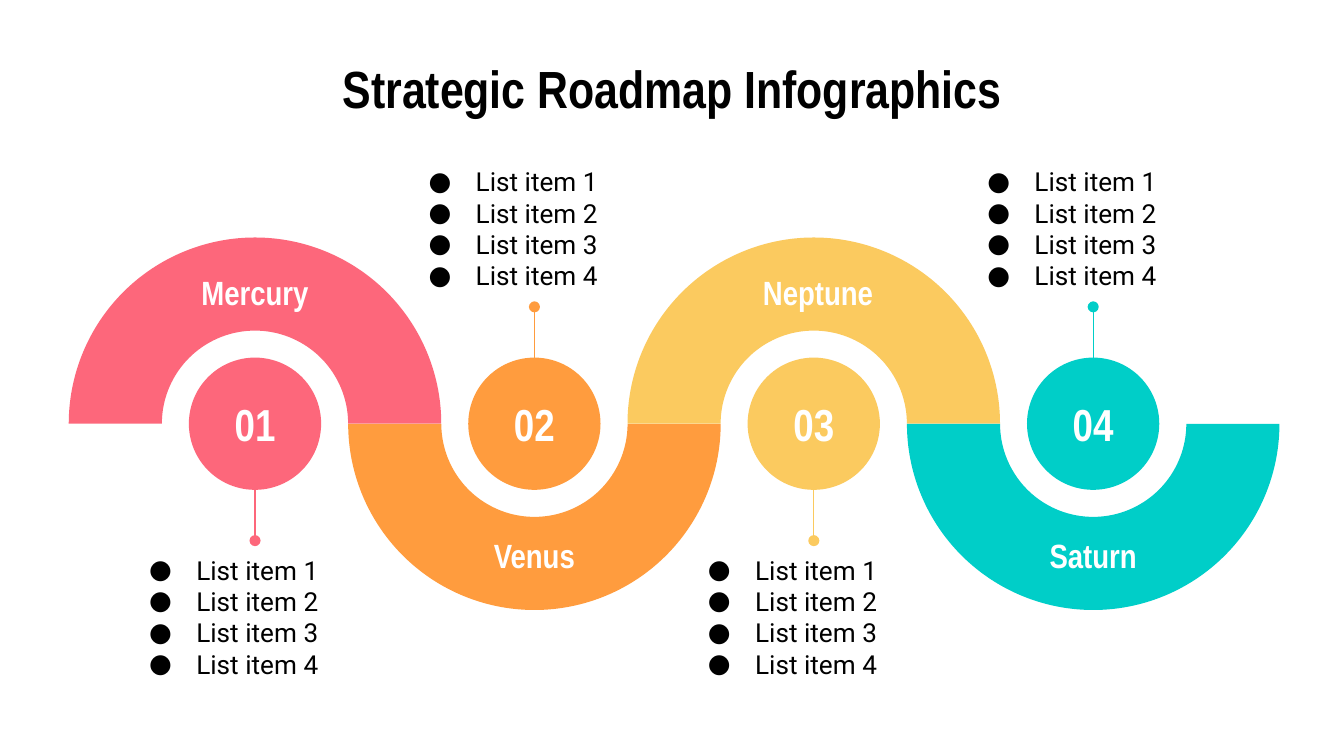
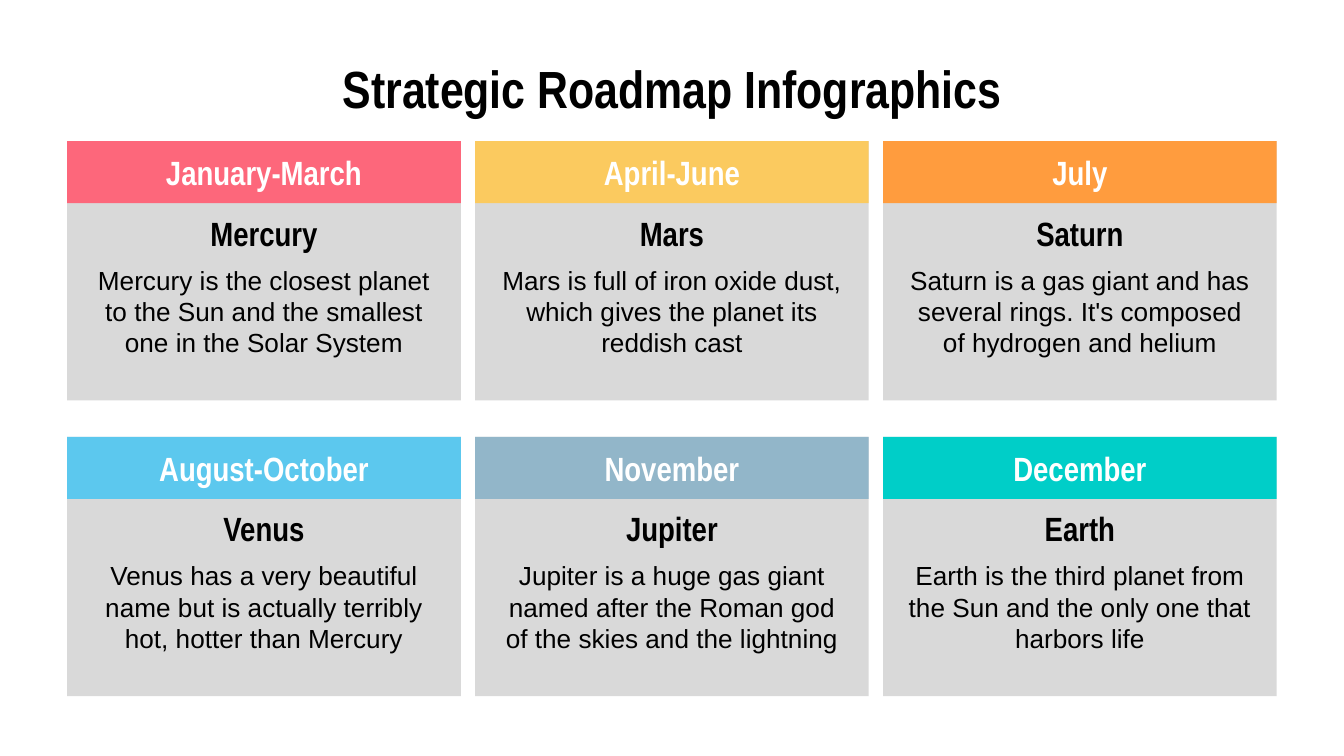
from dataclasses import dataclass
from typing import Any

from lxml import etree
from pptx import Presentation
from pptx import util as u
from pptx.dml.color import RGBColor
from pptx.enum import shapes, text
from pptx.oxml.ns import qn

BLACK, WHITE, GRAY = "000000", "FFFFFF", "D9D9D9"
RED, ORANGE, YELLOW = "FD677B", "FF9C3E", "FBCA5F"
TEAL, BLUE, STEEL = "00CEC8", "5CC8EE", "92B6C9"

TITLE = "Strategic Roadmap Infographics"
HEADING_FONT, BODY_FONT, LIST_FONT = "Arial Narrow", "Arial", "Roboto"
TITLE_ONLY, COMPARISON = 5, 4

FRAME_FORMAT = {
    "margin_left": u.Cm(0.25),
    "margin_right": u.Cm(0.25),
    "margin_top": u.Cm(0.25),
    "margin_bottom": u.Cm(0.25),
    "word_wrap": True,
    "auto_size": text.MSO_AUTO_SIZE.NONE,
}

FIRST_CENTER, CENTER_PITCH, CENTER_LINE = 4.82, 5.28, 8.01
ARC_SIZE, CIRCLE_SIZE = 7.04, 2.5
LABEL_WIDTH, LABEL_HEIGHT, LABEL_OFFSET = 3.53, 0.97, 2.48
LIST_WIDTH, LIST_HEIGHT, LIST_OFFSET = 4.5, 2.92, 2.21
LIST_INDENT = u.Cm(0.89)

GRID_LEFT, GRID_TOP = 1.27, 2.67
COLUMNS, COLUMN_PITCH, ROW_PITCH = 3, 7.71, 5.59
CARD_WIDTH, CARD_HEIGHT, HEADER_HEIGHT = 7.44, 4.9, 1.17


@dataclass(frozen=True)
class Box:
    left: float
    top: float
    width: float
    height: float

    def lengths(self) -> tuple[u.Cm, u.Cm, u.Cm, u.Cm]:
        return u.Cm(self.left), u.Cm(self.top), u.Cm(self.width), u.Cm(self.height)


@dataclass(frozen=True)
class Style:
    size: int
    font: str
    color: str = BLACK
    bold: bool = False
    align: text.PP_ALIGN = text.PP_ALIGN.CENTER
    anchor: text.MSO_ANCHOR = text.MSO_ANCHOR.MIDDLE


@dataclass(frozen=True)
class Milestone:
    label: str
    color: str
    label_shift: float = 0


@dataclass(frozen=True)
class Card:
    period: str
    color: str
    planet: str
    description: str


TITLE_STYLE = Style(28, HEADING_FONT, bold=True)
NUMBER_STYLE = Style(24, HEADING_FONT, WHITE, True)
LABEL_STYLE = Style(18, HEADING_FONT, WHITE, True)
PLANET_STYLE = Style(18, HEADING_FONT, bold=True)
DESCRIPTION_STYLE = Style(14, BODY_FONT)
LIST_STYLE = Style(14, LIST_FONT, align=text.PP_ALIGN.LEFT, anchor=text.MSO_ANCHOR.TOP)

LIST_ITEMS = [f"List item {number}" for number in range(1, 5)]

MILESTONES = [
    Milestone("Mercury", RED),
    Milestone("Venus", ORANGE),
    Milestone("Neptune", YELLOW, 0.08),
    Milestone("Saturn", TEAL),
]

CARDS = [
    Card("January-March", RED, "Mercury",
         "Mercury is the closest planet to the Sun and the smallest one in the Solar System"),
    Card("April-June", YELLOW, "Mars",
         "Mars is full of iron oxide dust, which gives the planet its reddish cast"),
    Card("July", ORANGE, "Saturn",
         "Saturn is a gas giant and has several rings. It's composed of hydrogen and helium"),
    Card("August-October", BLUE, "Venus",
         "Venus has a very beautiful name but is actually terribly hot, hotter than Mercury"),
    Card("November", STEEL, "Jupiter",
         "Jupiter is a huge gas giant named after the Roman god of the skies and the lightning"),
    Card("December", TEAL, "Earth",
         "Earth is the third planet from the Sun and the only one that harbors life"),
]


def set_attributes(target: Any, values: dict[str, Any]) -> None:
    for name, value in values.items():
        setattr(target, name, value)


def set_color(color_format: Any, color: str) -> None:
    color_format.rgb = RGBColor.from_string(color)


def centered(center_x: float, center_y: float, width: float, height: float) -> Box:
    return Box(center_x - width / 2, center_y - height / 2, width, height)


def write_text(shape: Any, lines: list[str], style: Style) -> None:
    frame = shape.text_frame
    set_attributes(frame, FRAME_FORMAT | {"vertical_anchor": style.anchor})
    frame.text = "\n".join(lines)
    for paragraph in frame.paragraphs:
        set_attributes(paragraph, {
            "alignment": style.align,
            "space_before": u.Pt(0),
            "space_after": u.Pt(0),
            "line_spacing": 1.0,
        })
        for run in paragraph.runs:
            set_attributes(run.font, {
                "name": style.font, "size": u.Pt(style.size), "bold": style.bold,
            })
            set_color(run.font.color, style.color)


def add_bullets(shape: Any) -> None:
    for paragraph in shape.text_frame.paragraphs:
        properties = paragraph._p.get_or_add_pPr()
        properties.set("marL", str(LIST_INDENT))
        properties.set("indent", str(-LIST_INDENT))
        bullet_color = etree.SubElement(properties, qn("a:buClr"))
        etree.SubElement(bullet_color, qn("a:srgbClr"), val=BLACK)
        etree.SubElement(properties, qn("a:buFont"), typeface=LIST_FONT)
        etree.SubElement(properties, qn("a:buChar"), char="●")


def place(shape: Any, box: Box) -> None:
    set_attributes(shape, dict(zip(("left", "top", "width", "height"), box.lengths())))


def add_filled(slide: Any, kind: shapes.MSO_SHAPE, box: Box, color: str) -> Any:
    shape = slide.shapes.add_shape(kind, *box.lengths())
    shape.shadow.inherit = False
    shape.fill.solid()
    set_color(shape.fill.fore_color, color)
    shape.line.fill.background()
    return shape


def add_label(slide: Any, box: Box, label: str, style: Style) -> None:
    write_text(slide.shapes.add_textbox(*box.lengths()), [label], style)


def add_pin(slide: Any, center: float, start: float, target: Any, site: int, color: str) -> None:
    x, y = u.Cm(center), u.Cm(start)
    pin = slide.shapes.add_connector(shapes.MSO_CONNECTOR.STRAIGHT, x, y, x, y)
    pin.end_connect(target, site)
    pin.line.width = u.Pt(0.75)
    set_color(pin.line.color, color)
    etree.SubElement(pin.line._get_or_add_ln(), qn("a:tailEnd"), type="oval")
    etree.SubElement(pin._element.spPr, qn("a:effectLst"))


def add_titled_slide(presentation: Any, layout: int) -> Any:
    slide = presentation.slides.add_slide(presentation.slide_layouts[layout])
    place(slide.shapes.title, Box(1.27, 1.14, 22.86, 1.04))
    write_text(slide.shapes.title, [TITLE], TITLE_STYLE)
    return slide


def draw_milestone(slide: Any, index: int, milestone: Milestone, item_list: Any) -> None:
    center = FIRST_CENTER + index * CENTER_PITCH
    arch_up = index % 2 == 0
    direction = 1 if arch_up else -1

    arc_box = centered(center, CENTER_LINE, ARC_SIZE, ARC_SIZE)
    arc = add_filled(slide, shapes.MSO_SHAPE.BLOCK_ARC, arc_box, milestone.color)
    arc.rotation = 0 if arch_up else 180

    circle_box = centered(center, CENTER_LINE, CIRCLE_SIZE, CIRCLE_SIZE)
    circle = add_filled(slide, shapes.MSO_SHAPE.OVAL, circle_box, milestone.color)
    write_text(circle, [f"{index + 1:02}"], NUMBER_STYLE)

    label_box = centered(center + milestone.label_shift,
                         CENTER_LINE - direction * LABEL_OFFSET, LABEL_WIDTH, LABEL_HEIGHT)
    add_label(slide, label_box, milestone.label, LABEL_STYLE)

    list_center = CENTER_LINE + direction * (LIST_OFFSET + LIST_HEIGHT / 2)
    place(item_list, centered(center, list_center, LIST_WIDTH, LIST_HEIGHT))
    write_text(item_list, LIST_ITEMS, LIST_STYLE)
    add_bullets(item_list)
    add_pin(slide, center, CENTER_LINE + direction * CIRCLE_SIZE / 2,
            item_list, 0 if arch_up else 2, milestone.color)


def draw_card(slide: Any, index: int, card: Card) -> None:
    row, column = divmod(index, COLUMNS)
    left = GRID_LEFT + column * COLUMN_PITCH
    top = GRID_TOP + row * ROW_PITCH
    center = left + CARD_WIDTH / 2

    add_filled(slide, shapes.MSO_SHAPE.RECTANGLE, Box(left, top, CARD_WIDTH, CARD_HEIGHT), GRAY)
    header = add_filled(slide, shapes.MSO_SHAPE.RECTANGLE,
                        Box(left, top, CARD_WIDTH, HEADER_HEIGHT), card.color)
    write_text(header, [card.period], LABEL_STYLE)
    add_label(slide, centered(center, top + 1.73, 4.6, 0.91), card.planet, PLANET_STYLE)
    add_label(slide, centered(center, top + 3.21, 7, 2), card.description, DESCRIPTION_STYLE)


def main() -> None:
    presentation = Presentation()
    presentation.slide_width, presentation.slide_height = u.Cm(25.4), u.Cm(14.29)

    roadmap = add_titled_slide(presentation, COMPARISON)
    lists = list(roadmap.placeholders)[1:]
    for index, (milestone, item_list) in enumerate(zip(MILESTONES, lists)):
        draw_milestone(roadmap, index, milestone, item_list)

    calendar = add_titled_slide(presentation, TITLE_ONLY)
    for index, card in enumerate(CARDS):
        draw_card(calendar, index, card)

    presentation.save("out.pptx")


if __name__ == "__main__":
    main()
